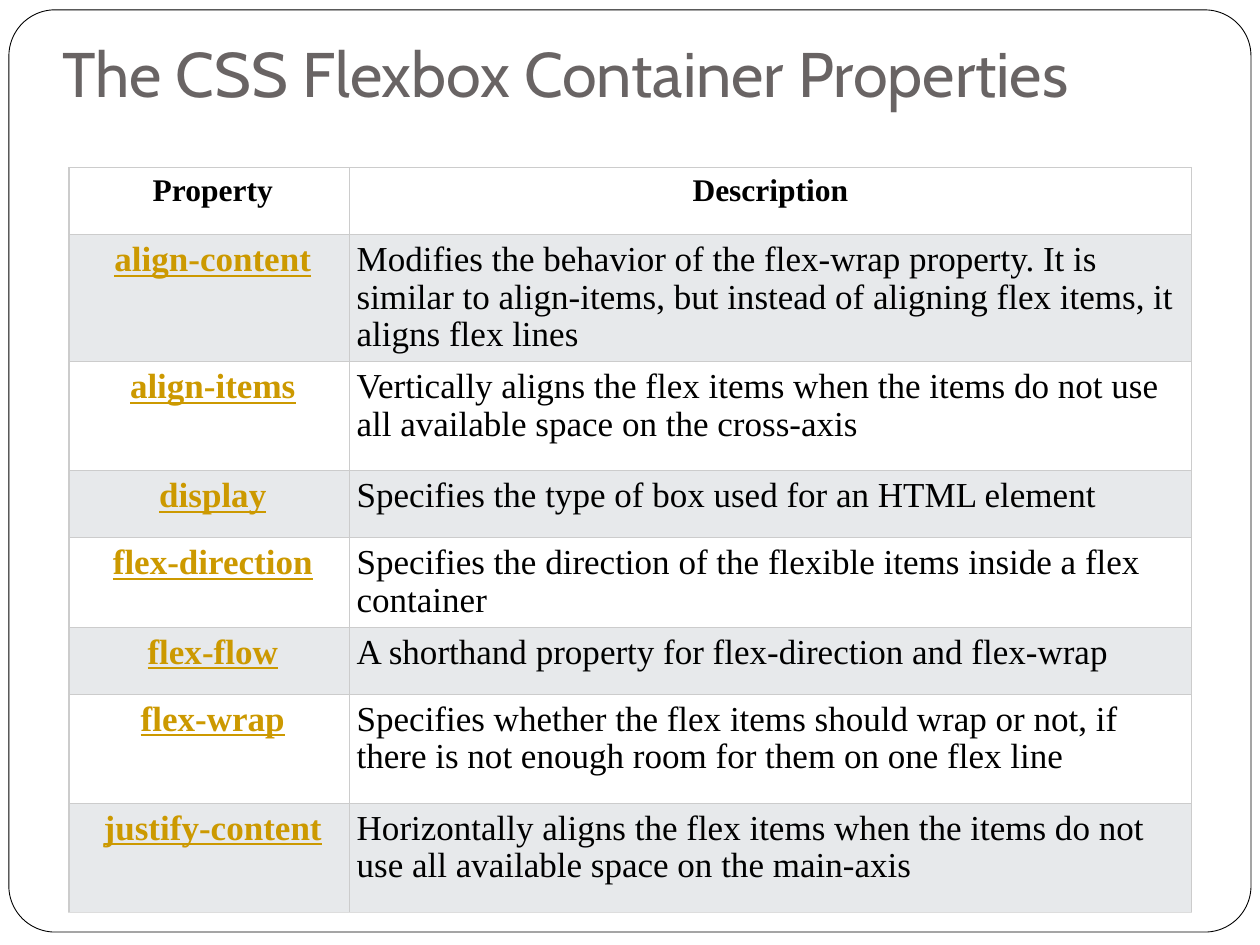
from lxml import etree
from pptx import Presentation
from pptx.dml.color import RGBColor
from pptx.enum.shapes import MSO_SHAPE
from pptx.enum.text import MSO_ANCHOR, MSO_AUTO_SIZE, PP_ALIGN
from pptx.oxml.ns import qn
from pptx.util import Cm, Pt

ROUNDED_RECTANGLE = MSO_SHAPE.ROUNDED_RECTANGLE
TOP = MSO_ANCHOR.TOP
NO_AUTOFIT = MSO_AUTO_SIZE.NONE
LEFT = PP_ALIGN.LEFT
CENTER = PP_ALIGN.CENTER

TITLE_ONLY = 5
TITLE = "The CSS Flexbox Container Properties"
HEADINGS = ("Property", "Description")
PROPERTIES = [
    ("align-content", "Modifies the behavior of the flex-wrap property. It is similar to "
     "align-items, but instead of aligning flex items, it aligns flex lines"),
    ("align-items", "Vertically aligns the flex items when the items do not use all "
     "available space on the cross-axis"),
    ("display", "Specifies the type of box used for an HTML element"),
    ("flex-direction", "Specifies the direction of the flexible items inside a flex container"),
    ("flex-flow", "A shorthand property for flex-direction and flex-wrap"),
    ("flex-wrap", "Specifies whether the flex items should wrap or not, if there is not "
     "enough room for them on one flex line"),
    ("justify-content", "Horizontally aligns the flex items when the items do not use all "
     "available space on the main-axis"),
]
COLUMN_WIDTHS = (5.65, 16.98)
SHORT_ROW, TALL_ROW = 1.35, 2.2
ROW_HEIGHTS = [SHORT_ROW, TALL_ROW, TALL_ROW, SHORT_ROW, SHORT_ROW, SHORT_ROW, TALL_ROW, TALL_ROW]

WHITE, BLACK, GRAY = "FFFFFF", "000000", "696464"
BAND, GOLD = "E7E9EB", "CC9900"
BORDER, LAST_BORDER = "CCCCCC", "DDDDDD"


def color(value):
    return RGBColor.from_string(value)


def format_runs(paragraph, font_name, size, font_color, bold=False, underline=False):
    for run in paragraph.runs:
        run.font.name = font_name
        run.font.size = Pt(size)
        run.font.color.rgb = color(font_color)
        run.font.bold = bold
        run.font.underline = underline


def add_frame(slide):
    frame = slide.shapes.add_shape(ROUNDED_RECTANGLE, Cm(0.18), Cm(0.2), Cm(25.04), Cm(18.59))
    frame.adjustments[0] = 0.05
    frame.shadow.inherit = False
    frame.fill.solid()
    frame.fill.fore_color.rgb = color(WHITE)
    frame.line.color.rgb = color(BLACK)
    frame.line.width = Pt(0.5)
    slide.shapes.title.element.addprevious(frame.element)


def set_title(slide):
    title = slide.shapes.title
    title.left, title.top, title.width, title.height = Cm(1), Cm(0.7), Cm(23.14), Cm(3.18)
    text_frame = title.text_frame
    text_frame.text = TITLE
    text_frame.word_wrap = True
    text_frame.auto_size = NO_AUTOFIT
    text_frame.vertical_anchor = TOP
    text_frame.margin_top = 0
    paragraph = text_frame.paragraphs[0]
    paragraph.alignment = LEFT
    format_runs(paragraph, "Cabin", 36, GRAY)


def set_borders(cell, bottom_color):
    properties = cell._tc.get_or_add_tcPr()
    for side in "LRTB":
        line = etree.SubElement(properties, qn(f"a:ln{side}"), w=str(Pt(0.75)))
        fill = etree.SubElement(line, qn("a:solidFill"))
        value = bottom_color if side == "B" else BORDER
        etree.SubElement(fill, qn("a:srgbClr"), val=value)


def set_cell(cell, text, row, column, last_row):
    is_header = row == 0
    is_name = column == 0
    is_link = is_name and not is_header
    cell.margin_left = Cm(0.3 if is_name else 0.15)
    cell.margin_right = cell.margin_top = cell.margin_bottom = Cm(0.15)
    cell.vertical_anchor = TOP
    cell.text_frame.text = text
    paragraph = cell.text_frame.paragraphs[0]
    paragraph.alignment = CENTER if is_header or is_name else LEFT
    paragraph.line_spacing = 0.96
    format_runs(paragraph, "Times New Roman", 18 if is_header else 20,
                GOLD if is_link else BLACK, is_header or is_name, is_link)
    set_borders(cell, LAST_BORDER if row == last_row else BORDER)
    cell.fill.solid()
    cell.fill.fore_color.rgb = color(BAND if row % 2 else WHITE)


def add_property_table(slide):
    rows = [HEADINGS, *PROPERTIES]
    table = slide.shapes.add_table(len(rows), len(HEADINGS), Cm(1.39), Cm(3.38),
                                   Cm(sum(COLUMN_WIDTHS)), Cm(sum(ROW_HEIGHTS))).table
    for column, width in zip(table.columns, COLUMN_WIDTHS):
        column.width = Cm(width)
    for row_index, (texts, height) in enumerate(zip(rows, ROW_HEIGHTS)):
        table.rows[row_index].height = Cm(height)
        for column_index, text in enumerate(texts):
            set_cell(table.cell(row_index, column_index), text,
                     row_index, column_index, len(rows) - 1)


def main():
    presentation = Presentation()
    presentation.slide_width, presentation.slide_height = Cm(25.4), Cm(19.05)
    slide = presentation.slides.add_slide(presentation.slide_layouts[TITLE_ONLY])
    add_frame(slide)
    set_title(slide)
    add_property_table(slide)
    presentation.save("out.pptx")


if __name__ == "__main__":
    main()
